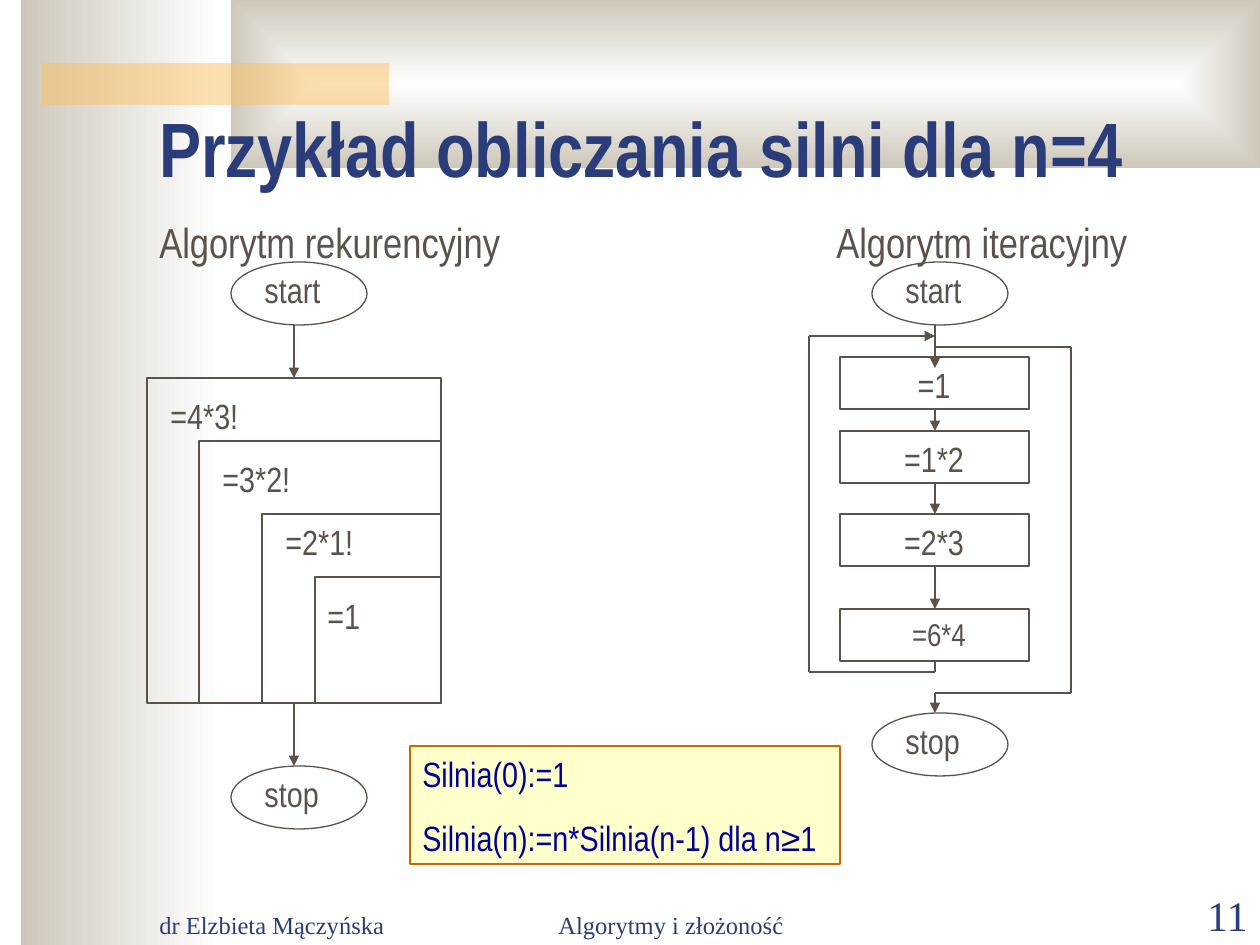
from lxml import etree
from pptx import Presentation
from pptx.dml.color import RGBColor
from pptx.enum.shapes import MSO_CONNECTOR, MSO_SHAPE
from pptx.enum.text import MSO_ANCHOR, PP_ALIGN
from pptx.oxml.ns import qn
from pptx.util import Pt

RECT, OVAL = MSO_SHAPE.RECTANGLE, MSO_SHAPE.OVAL
STRAIGHT = MSO_CONNECTOR.STRAIGHT
LEFT, CENTER, RIGHT = PP_ALIGN.LEFT, PP_ALIGN.CENTER, PP_ALIGN.RIGHT
TOP, BOTTOM = MSO_ANCHOR.TOP, MSO_ANCHOR.BOTTOM

NARROW, SERIF, SYMBOL = "Arial Narrow", "Times New Roman", "Arial"
NAVY, BROWN, TAN, WHITE = "2A3D7A", "5B5249", "CEC8BA", "FFFFFF"
PX = 914400 / 126

TITLE = "Przykład obliczania silni dla n=4"
HEADINGS = "Algorytm rekurencyjny\tAlgorytm iteracyjny"
HEADING_TAB = 677
FOOTERS = [
    ("dr Elzbieta Mączyńska", 147, 262, 14, LEFT),
    ("Algorytmy i złożoność", 472, 398, 14, CENTER),
    ("11", 1134, 126, 24, RIGHT),
]
TERMINALS = [
    ("start", 872, 262), ("stop", 872, 713),
    ("start", 231, 262), ("stop", 231, 766),
]
NESTED_CALLS = [
    ("=4*3!", 147, 378, 158, 388),
    ("=3*2!", 199, 441, 210, 451),
    ("=2*1!", 262, 514, 273, 514),
    ("=1", 315, 577, 315, 588),
]
NEST_RIGHT, NEST_BOTTOM = 441, 703
STEPS = [("=1", 357, 168, 20), ("=1*2", 431, 168, 20),
         ("=2*3", 514, 168, 20), ("=6*4", 609, 178, 18)]
STEP_LEFT, STEP_WIDTH, STEP_HEIGHT = 840, 189, 52
AXIS = 935
ARROWS = [
    (AXIS, 325, AXIS, 368), (AXIS, 693, AXIS, 713),
    (809, 336, AXIS, 336),
    (294, 325, 294, 378), (294, 703, 294, 766),
]
EXIT_PATH = [(AXIS, 693), (1071, 693), (1071, 347), (AXIS, 347)]
LOOP_PATH = [(AXIS, 661), (AXIS, 672), (809, 672), (809, 336)]
DEFINITION = [
    [("Silnia(0):=1", NARROW)],
    [("Silnia(n):=n*Silnia(n-1) dla n", NARROW), ("≥", SYMBOL), ("1", NARROW)],
]


def px(value):
    return round(value * PX)


def color(value):
    return RGBColor.from_string(value)


def add_block(kind, left, top, width, height, fill=None, line=BROWN):
    block = slide.shapes.add_shape(kind, px(left), px(top), px(width), px(height))
    block.shadow.inherit = False
    if fill:
        block.fill.solid()
        block.fill.fore_color.rgb = color(fill)
    else:
        block.fill.background()
    if line:
        block.line.color.rgb = color(line)
        block.line.width = Pt(0.75)
    else:
        block.line.fill.background()
    return block


def add_gradient(left, top, width, height):
    block = add_block(RECT, left, top, width, height, line=None)
    block.fill.gradient()
    block.fill.gradient_angle = 180
    for stop, shade, position in zip(block.fill.gradient_stops, (WHITE, TAN), (0, 1)):
        stop.color.rgb = color(shade)
        stop.position = position
    return block


def add_label(text, left, top, width, height=55, size=20, font=NARROW,
              shade=BROWN, align=LEFT, anchor=TOP, bold=False):
    frame = slide.shapes.add_textbox(px(left), px(top), px(width), px(height)).text_frame
    frame.word_wrap = True
    frame.vertical_anchor = anchor
    paragraph = frame.paragraphs[0]
    paragraph.text = text
    paragraph.alignment = align
    paragraph.font.size = Pt(size)
    paragraph.font.name = font
    paragraph.font.bold = bold
    paragraph.font.color.rgb = color(shade)
    return paragraph


def add_line(x1, y1, x2, y2, arrow=False):
    line = slide.shapes.add_connector(STRAIGHT, px(x1), px(y1), px(x2), px(y2))
    line.line.color.rgb = color(BROWN)
    line.line.width = Pt(0.75)
    if arrow:
        etree.SubElement(line.line._get_or_add_ln(), qn("a:tailEnd"), type="triangle")
    etree.SubElement(line._element.spPr, qn("a:effectLst"))


prs = Presentation()
prs.slide_width, prs.slide_height = px(1260), px(945)
slide = prs.slides.add_slide(prs.slide_layouts[6])

add_gradient(21, 0, 199, 945)
banner = add_gradient(231, 0, 1029, 168)
banner_fill = banner._element.spPr.find(qn("a:gradFill"))
banner_fill.remove(banner_fill.find(qn("a:lin")))
banner_path = etree.Element(qn("a:path"), path="rect")
banner_fill.find(qn("a:gsLst")).addnext(banner_path)
etree.SubElement(banner_path, qn("a:fillToRect"), dict.fromkeys("ltrb", "50000"))
accent = add_block(RECT, 42, 63, 347, 42, fill="FAC164", line=None)
accent_color = accent._element.spPr.find(qn("a:solidFill"))[0]
etree.SubElement(accent_color, qn("a:alpha"), val="50000")

for text, left, width, size, align in FOOTERS:
    add_label(text, left, 883, width, 63, size, SERIF, NAVY, align, BOTTOM)
headings = add_label(HEADINGS, 147, 210, 1071, 646, 24)
tabs = etree.Element(qn("a:tabLst"))
etree.SubElement(tabs, qn("a:tab"), pos=str(px(HEADING_TAB)), algn="l")
headings._p.get_or_add_pPr().find(qn("a:defRPr")).addprevious(tabs)
add_label(TITLE, 147, 94, 1071, 105, 44, shade=NAVY, anchor=BOTTOM, bold=True)

for text, left, top in TERMINALS:
    add_block(OVAL, left, top, 136, 63)
    add_label(text, left + 21, top, 94)

for text, top, width, size in STEPS:
    add_block(RECT, STEP_LEFT, top, STEP_WIDTH, STEP_HEIGHT)
    add_label(text, STEP_LEFT + 10, top, width, size=size, align=CENTER)
for (_, above, *_), (_, below, *_) in zip(STEPS, STEPS[1:]):
    add_line(AXIS, above + STEP_HEIGHT, AXIS, below, arrow=True)
for ends in ARROWS:
    add_line(*ends, arrow=True)
for route in (EXIT_PATH, LOOP_PATH):
    for start, end in zip(route, route[1:]):
        add_line(*start, *end)

for text, left, top, label_left, label_top in NESTED_CALLS:
    add_block(RECT, left, top, NEST_RIGHT - left, NEST_BOTTOM - top)
    add_label(text, label_left, label_top, 136)

definition = add_block(RECT, 410, 746, 430, 118, "FFFFCC", "CC6600").text_frame
definition.word_wrap = True
definition.vertical_anchor = TOP
for index, parts in enumerate(DEFINITION):
    paragraph = definition.add_paragraph() if index else definition.paragraphs[0]
    paragraph.alignment = LEFT
    paragraph.space_before = Pt(12.5)
    paragraph.font.size = Pt(20)
    paragraph.font.color.rgb = color("000099")
    for text, font in parts:
        run = paragraph.add_run()
        run.text = text
        run.font.name = font

prs.save("out.pptx")
